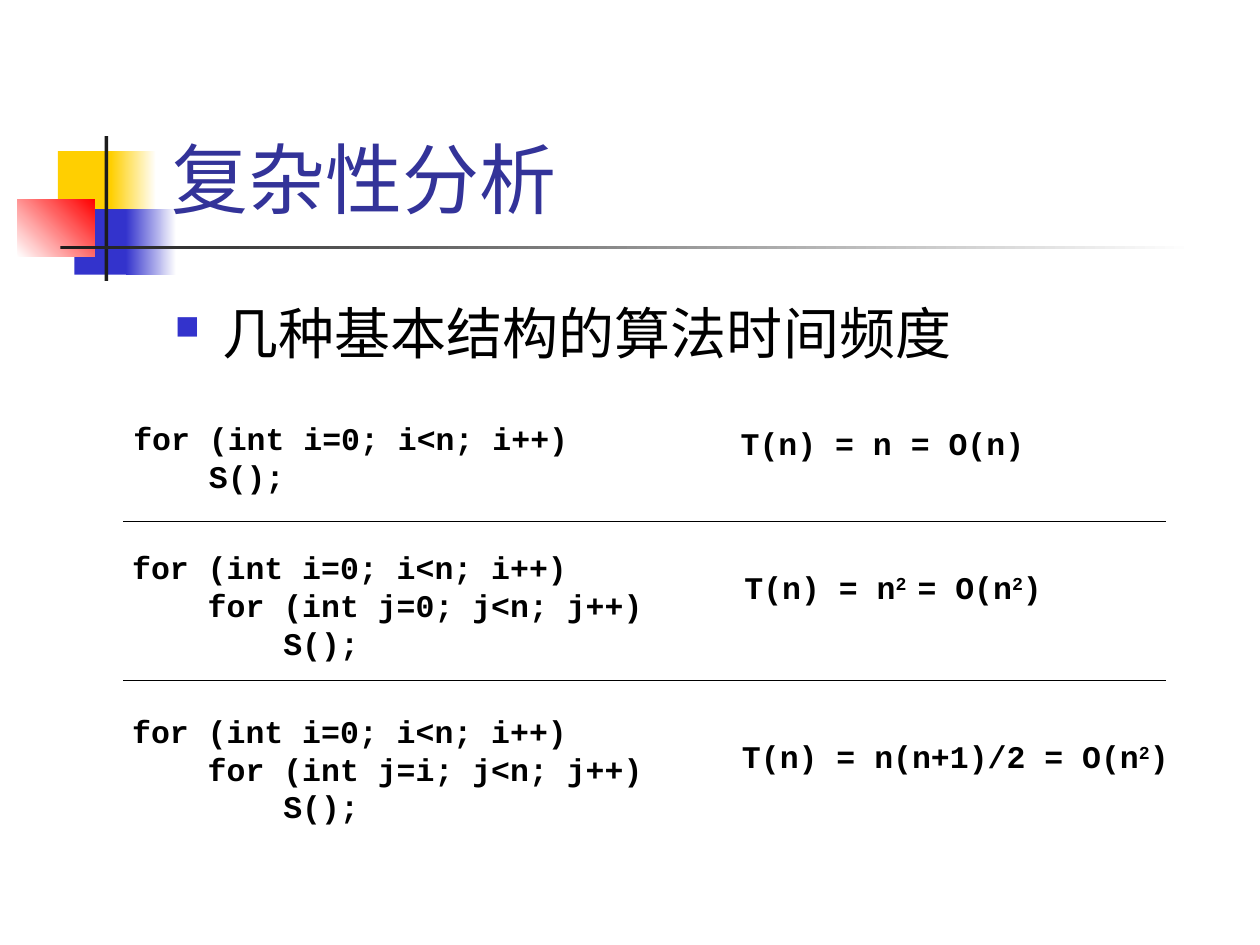
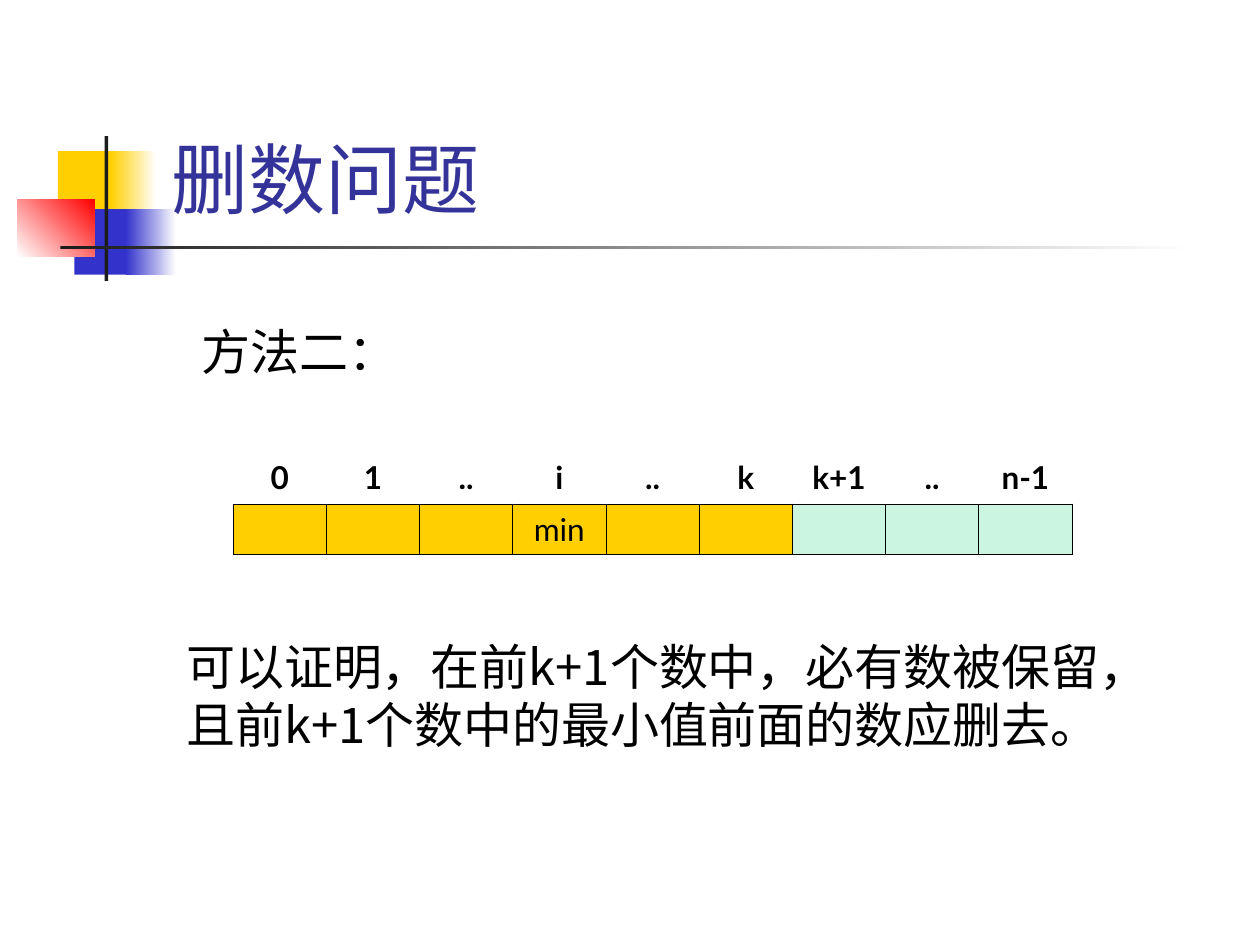
from lxml.etree import SubElement
from pptx import Presentation
from pptx.dml.color import RGBColor
from pptx.enum.shapes import MSO_CONNECTOR, MSO_SHAPE
from pptx.enum.text import MSO_ANCHOR, MSO_AUTO_SIZE, PP_ALIGN
from pptx.oxml import parse_xml
from pptx.oxml.ns import nsdecls, qn
from pptx.util import Inches, Pt

LATIN, CHINESE, CODE = "Lato", "Noto Sans CJK SC", "Courier New"
BLACK, WHITE, INK = "000000", "FFFFFF", "1C1C1C"
YELLOW, BLUE, RED = "FFCF01", "3333CC", "FF0000"
TITLE_BLUE, MINT = "333399", "CBF5E1"
CODE_INDENT = 0.6  # four characters of 18 pt code

# left, top, width, height, colours (two make a gradient), gradient angle
DECORATION = [
    (0.46, 1.2, 0.48, 0.52, [YELLOW], 0),
    (0.88, 1.2, 0.36, 0.52, [YELLOW, WHITE], 0),
    (0.59, 1.66, 0.46, 0.52, [BLUE], 0),
    (1, 1.66, 0.4, 0.52, [BLUE, WHITE], 0),
    (0.14, 1.58, 0.61, 0.46, [WHITE, RED], 45),
    (0.83, 1.08, 0.03, 1.15, [INK], 0),
    (0.48, 1.95, 9, 0.03, [INK, WHITE], 0),
]


def rgb(value):
    return RGBColor.from_string(value)


class Deck:
    def __init__(self):
        self.presentation = Presentation()
        self.presentation.slide_width = Inches(10)
        self.presentation.slide_height = Inches(7.5)
        self.slide = None

    def start_slide(self, title):
        layout = self.presentation.slide_layouts[5]
        self.slide = self.presentation.slides.add_slide(layout)
        for left, top, width, height, colours, angle in DECORATION:
            self.rectangle(left, top, width, height, colours, angle)
        shape = self.slide.shapes.title
        self.slide.shapes._spTree.append(shape._element)  # in front of the decoration
        shape.left, shape.top = Inches(1.26), Inches(0.23)
        shape.width, shape.height = Inches(8.52), Inches(1.6)
        frame = shape.text_frame
        frame.word_wrap = True
        frame.auto_size = MSO_AUTO_SIZE.NONE
        frame.vertical_anchor = MSO_ANCHOR.BOTTOM
        frame.paragraphs[0].alignment = PP_ALIGN.LEFT
        self.run(frame.paragraphs[0], title, 44, colour=TITLE_BLUE)

    def rectangle(self, left, top, width, height, colours, angle):
        shape = self.slide.shapes.add_shape(
            MSO_SHAPE.RECTANGLE, Inches(left), Inches(top), Inches(width), Inches(height))
        shape.shadow.inherit = False
        shape.line.fill.background()
        if len(colours) == 1:
            shape.fill.solid()
            shape.fill.fore_color.rgb = rgb(colours[0])
            return
        shape.fill.gradient()
        shape.fill.gradient_angle = angle
        for stop, colour in zip(shape.fill.gradient_stops, colours):
            stop.color.rgb = rgb(colour)

    def run(self, paragraph, text, size, font=LATIN, bold=False, colour=BLACK):
        """Add one run; a leading ^ raises it to a superscript."""
        run = paragraph.add_run()
        run.text = text.removeprefix("^")
        run.font.size = Pt(size)
        run.font.name = font
        run.font.bold = bold
        run.font.color.rgb = rgb(colour)
        properties = run._r.get_or_add_rPr()
        SubElement(properties, qn("a:ea")).set("typeface", CHINESE)
        if text.startswith("^"):
            properties.set("baseline", "30000")

    def text(self, left, top, width, height, lines, size, font, bold=False, step=0):
        """Add lines, each a list of runs; step indents each line further, in inches."""
        box = self.slide.shapes.add_textbox(
            Inches(left), Inches(top), Inches(width), Inches(height))
        frame = box.text_frame
        frame.word_wrap = False
        frame.auto_size = MSO_AUTO_SIZE.SHAPE_TO_FIT_TEXT
        for level, runs in enumerate(lines):
            paragraph = frame.add_paragraph() if level else frame.paragraphs[0]
            if step and level:
                paragraph._p.get_or_add_pPr().set("marL", str(Inches(step * level)))
            for text in runs:
                self.run(paragraph, text, size, font, bold)
        return frame

    def bullet(self, left, top, width, height, text):
        frame = self.text(left, top, width, height, [[text]], 32, LATIN)
        frame.word_wrap = True
        frame.auto_size = MSO_AUTO_SIZE.NONE
        paragraph = frame.paragraphs[0]
        paragraph.line_spacing = 1.2
        paragraph.space_before = Pt(8)
        properties = paragraph._p.get_or_add_pPr()
        properties.set("marL", str(Inches(0.38)))
        properties.set("indent", str(Inches(-0.38)))
        colour = SubElement(properties, qn("a:buClr"))
        SubElement(colour, qn("a:srgbClr")).set("val", BLUE)
        SubElement(properties, qn("a:buSzPct")).set("val", "60000")
        SubElement(properties, qn("a:buChar")).set("char", "■")

    def code(self, left, top, width, height, lines):
        self.text(left, top, width, height, lines, 18, CODE, True, CODE_INDENT)

    def divider(self, left, right, top):
        line = self.slide.shapes.add_connector(
            MSO_CONNECTOR.STRAIGHT, Inches(left), Inches(top), Inches(right), Inches(top))
        line.line.color.rgb = rgb(BLACK)
        line.line.width = Pt(0.75)
        SubElement(line._element.spPr, qn("a:effectLst"))

    def border(self, cell, colours):
        """Draw the left, right, top and bottom borders in the given colours."""
        properties = cell._tc.get_or_add_tcPr()
        for index, (side, colour) in enumerate(zip("LRTB", colours)):
            properties.insert(index, parse_xml(
                f'<a:ln{side} {nsdecls("a")} w="{Pt(0.45)}"><a:solidFill>'
                f'<a:srgbClr val="{colour}"/></a:solidFill></a:ln{side}>'))

    def array_table(self, left, top, column_width, row_heights, labels, values, fills):
        """Draw array cells with their index labels above."""
        table = self.slide.shapes.add_table(
            2, len(labels), Inches(left), Inches(top),
            Inches(column_width * len(labels)), Inches(sum(row_heights))).table
        table.first_row = table.horz_banding = False
        for row, height in zip(table.rows, row_heights):
            row.height = Inches(height)
        for index, fill in enumerate(fills):
            table.columns[index].width = Inches(column_width)
            label, value = table.cell(0, index), table.cell(1, index)
            label.fill.background()
            value.fill.solid()
            value.fill.fore_color.rgb = rgb(fill)
            self.border(label, [WHITE, WHITE, WHITE, BLACK])
            self.border(value, [BLACK] * 4)
            for cell, text, bold in ((label, labels[index], True),
                                     (value, values.get(index), False)):
                if text:
                    paragraph = cell.text_frame.paragraphs[0]
                    paragraph.alignment = PP_ALIGN.CENTER
                    self.run(paragraph, text, 18, bold=bold)


def build_complexity(deck):
    deck.start_slide("复杂性分析")
    deck.bullet(1.29, 2.21, 8.5, 4.5, "几种基本结构的算法时间频度")
    outer = ["for (int i=0; i<n; i++)"]
    call = ["S();"]
    deck.code(0.96, 3.28, 3.65, 0.7, [outer, call])
    for top, start in ((4.3, "0"), (5.6, "i")):
        deck.code(0.95, top, 4.25, 1, [outer, [f"for (int j={start}; j<n; j++)"], call])
    for top in (4.14, 5.4):
        deck.divider(0.98, 9.25, top)
    for left, top, width, formula in (
            (5.78, 3.32, 2.45, ["T(n) = n = O(n)"]),
            (5.81, 4.46, 2.56, ["T(n) = n", "^2 ", "= O(n", "^2", ")"]),
            (5.79, 5.8, 3.59, ["T(n) = n(n+1)/2 = O(n", "^2", ")"])):
        deck.code(left, top, width, 0.4, [formula])


def build_deletion(deck):
    deck.start_slide("删数问题")
    deck.text(1.5, 2.5, 1.75, 0.57, [["方法二："]], 28, CHINESE)
    deck.text(1.38, 5, 8.08, 1.04,
              [["可以证明，在前k+1个数中，必有数被保留，"],
               ["且前k+1个数中的最小值前面的数应删去。"]], 28, CHINESE)
    labels = ["0", "1", "..", "i", "..", "k", "k+1", "..", "n-1"]
    deck.array_table(1.85, 3.59, 0.74, [0.41, 0.4], labels, {3: "min"},
                     [YELLOW] * 6 + [MINT] * 3)


def main():
    deck = Deck()
    build_complexity(deck)
    build_deletion(deck)
    deck.presentation.save("out.pptx")


if __name__ == "__main__":
    main()
